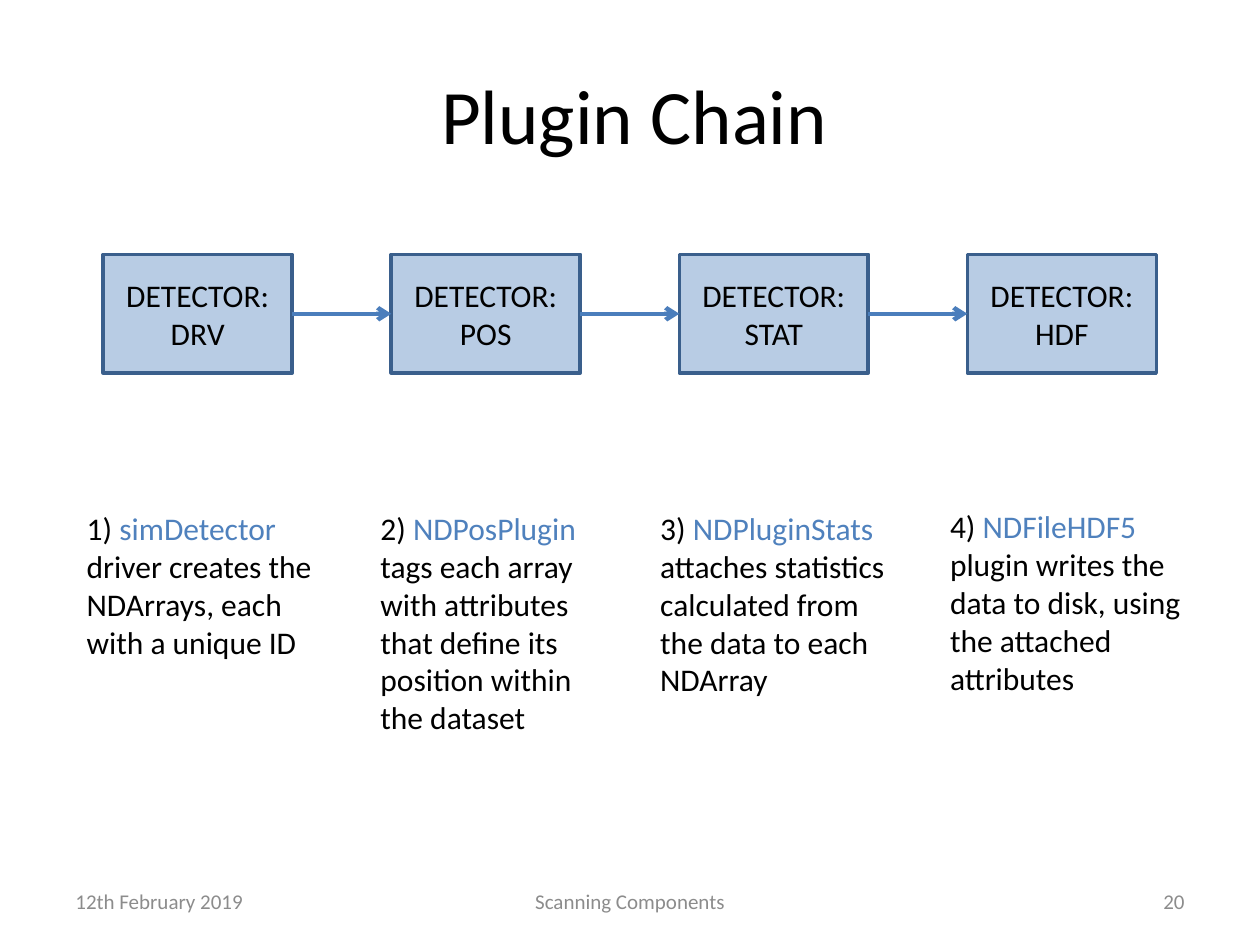
from lxml.etree import SubElement
from pptx import Presentation
from pptx.dml.color import RGBColor
from pptx.enum.shapes import MSO_CONNECTOR, MSO_SHAPE
from pptx.enum.text import MSO_ANCHOR, PP_ALIGN
from pptx.oxml.ns import qn
from pptx.util import Pt

BLACK = RGBColor(0x00, 0x00, 0x00)
GREY = RGBColor(0x8C, 0x8C, 0x8C)
BLUE = RGBColor(0x4F, 0x81, 0xBD)
BORDER_BLUE = RGBColor(0x3A, 0x5F, 0x8C)
ARROW_BLUE = RGBColor(0x4B, 0x7E, 0xBC)

BOX_LEFT, BOX_TOP, BOX_WIDTH, BOX_HEIGHT = 59, 145.4, 108, 67.8
BOX_PITCH = 164.6
RIGHT_SIDE, LEFT_SIDE = 3, 1  # connection sites of a rectangle

# Detector name, then left, top, width, height and text of its description
STAGES = [
    ("DRV", (42.5, 287.4, 153.4, 94.5), "simDetector",
     "driver creates the NDArrays, each with a unique ID"),
    ("POS", (210.3, 287.4, 149.8, 138.2), "NDPosPlugin",
     "tags each array with attributes that define its position within the dataset"),
    ("STAT", (370.2, 287.4, 155.5, 116.6), "NDPluginStats",
     "attaches statistics calculated from the data to each NDArray"),
    ("HDF", (535.8, 286.4, 155.5, 116.6), "NDFileHDF5",
     "plugin writes the data to disk, using the attached attributes"),
]

FOOTERS = [
    (36, 168, "12th February 2019", PP_ALIGN.LEFT),
    (246, 228, "Scanning Components", PP_ALIGN.CENTER),
    (516, 168, "20", PP_ALIGN.RIGHT),
]


def add_run(paragraph, text, size=18, color=BLACK, font="Calibri"):
    run = paragraph.add_run()
    run.text = text
    run.font.name = font
    run.font.size = Pt(size)
    run.font.color.rgb = color


class SlideBuilder:
    """Holds the slide and the shared style of its elements."""

    def __init__(self, slide):
        self.slide = slide
        self.border_width = Pt(2)
        self.arrow_width = Pt(2.5)

    def text(self, left, top, width, height, runs,
             align=PP_ALIGN.LEFT, anchor=MSO_ANCHOR.TOP, size=18):
        shape = self.slide.shapes.add_textbox(
            Pt(left), Pt(top), Pt(width), Pt(height))
        frame = shape.text_frame
        frame.word_wrap = True
        frame.vertical_anchor = anchor
        paragraph = frame.paragraphs[0]
        paragraph.alignment = align
        for text, color in runs:
            add_run(paragraph, text, size=size, color=color)

    def box(self, left, top, width, height, text):
        shape = self.slide.shapes.add_shape(
            MSO_SHAPE.RECTANGLE, Pt(left), Pt(top), Pt(width), Pt(height))
        shape.shadow.inherit = False
        shape.fill.solid()
        shape.fill.fore_color.rgb = BLUE
        color = shape.fill._xPr.find(qn("a:solidFill"))[0]
        SubElement(color, qn("a:alpha"), val="40000")
        shape.line.color.rgb = BORDER_BLUE
        shape.line.width = self.border_width
        frame = shape.text_frame
        frame.word_wrap = True
        frame.vertical_anchor = MSO_ANCHOR.MIDDLE
        paragraph = frame.paragraphs[0]
        paragraph.alignment = PP_ALIGN.CENTER
        add_run(paragraph, text)
        return shape

    def arrow(self, source, target):
        connector = self.slide.shapes.add_connector(
            MSO_CONNECTOR.STRAIGHT, 0, 0, 0, 0)
        connector.begin_connect(source, RIGHT_SIDE)
        connector.end_connect(target, LEFT_SIDE)
        connector.line.color.rgb = ARROW_BLUE
        connector.line.width = self.arrow_width
        SubElement(connector.line._get_or_add_ln(), qn("a:tailEnd"), type="arrow")
        SubElement(connector._element.spPr, qn("a:effectLst"))


def main():
    presentation = Presentation()
    presentation.slide_width = Pt(720)
    presentation.slide_height = Pt(540)
    slide = presentation.slides.add_slide(presentation.slide_layouts[6])
    builder = SlideBuilder(slide)

    # Title
    builder.text(121.7, 20.2, 481.7, 90, [("Plugin Chain", BLACK)],
                 align=PP_ALIGN.CENTER, anchor=MSO_ANCHOR.MIDDLE, size=44)

    # Footer
    for left, width, text, align in FOOTERS:
        builder.text(left, 500.5, width, 28.8, [(text, GREY)],
                     align=align, anchor=MSO_ANCHOR.MIDDLE, size=12)

    # Chain of detector boxes
    boxes = [
        builder.box(BOX_LEFT + index * BOX_PITCH, BOX_TOP, BOX_WIDTH,
                    BOX_HEIGHT, f"DETECTOR: {stage[0]}")
        for index, stage in enumerate(STAGES)
    ]
    for source, target in zip(boxes, boxes[1:]):
        builder.arrow(source, target)

    # Descriptions
    for number, (_, area, plugin, description) in enumerate(STAGES, start=1):
        builder.text(*area, [(f"{number}) ", BLACK), (plugin, BLUE),
                             (f" {description}", BLACK)])

    presentation.save("out.pptx")


if __name__ == "__main__":
    main()
